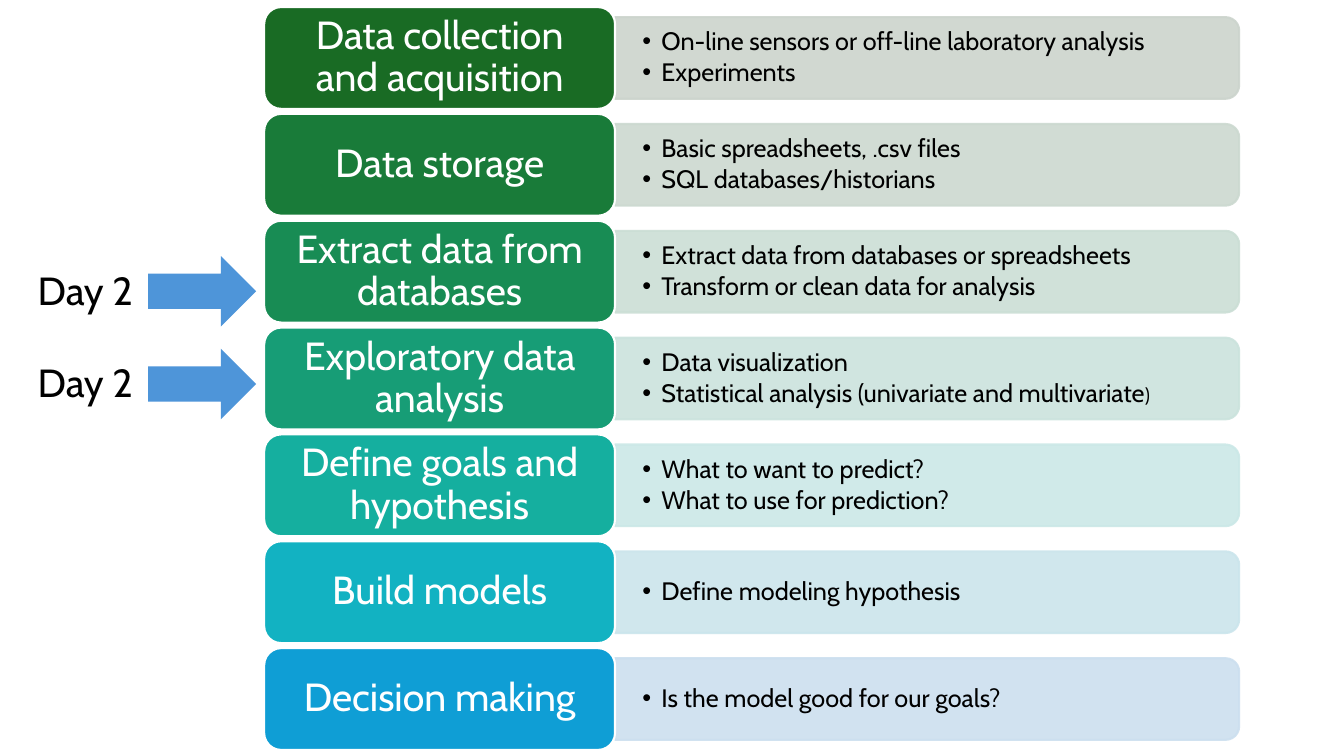
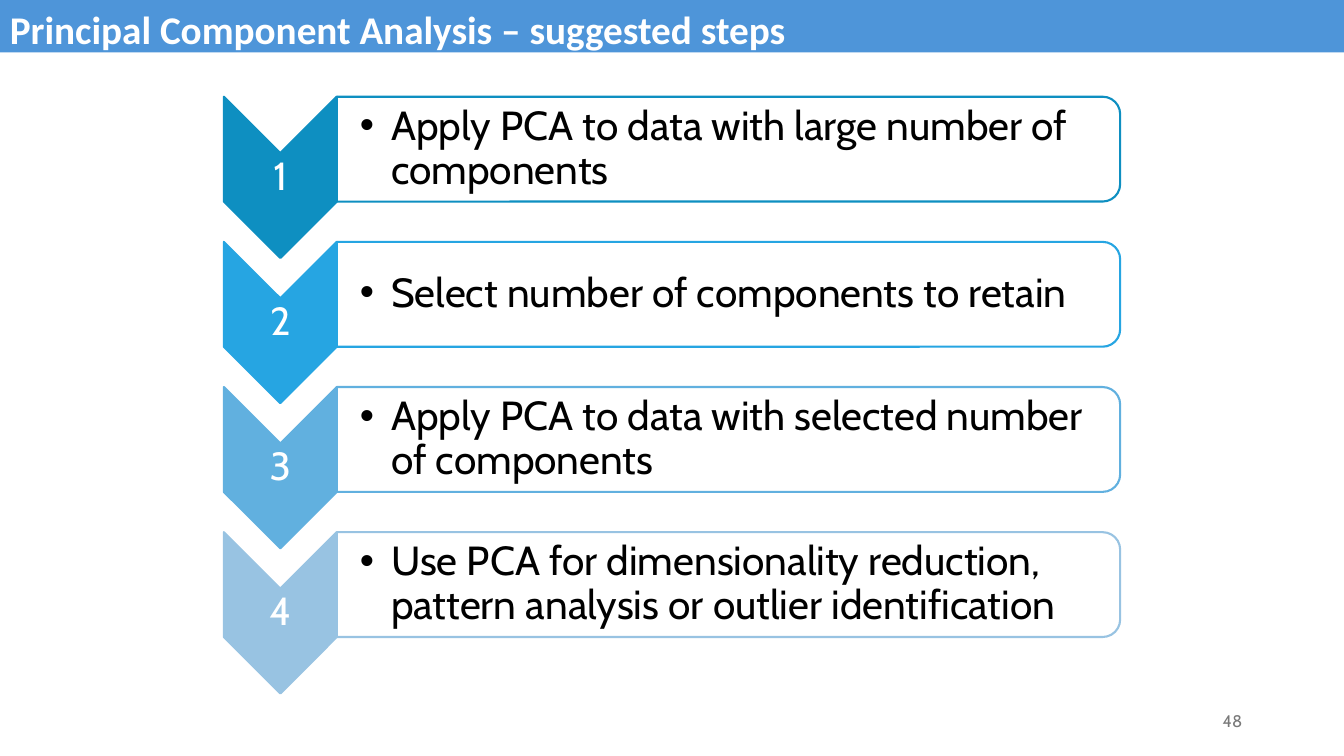
from lxml import etree
from pptx import Presentation
from pptx.dml.color import RGBColor
from pptx.enum import shapes, text
from pptx.oxml import ns
from pptx.util import Inches, Pt

SHAPE = shapes.MSO_SHAPE
ALIGN = text.PP_ALIGN
ANCHOR = text.MSO_ANCHOR

BLUE, WHITE, BLACK, GREY = "4E95D9", "FFFFFF", "000000", "797979"


def color(value):
    return RGBColor.from_string(value)


class Deck:
    """Shared style and the slide being filled."""

    body_font, title_font = "Cabin", "Calibri"
    line_width = 1.5

    def __init__(self):
        self.presentation = Presentation()
        self.presentation.slide_width = Inches(13.33)
        self.presentation.slide_height = Inches(7.5)
        self.slide = None

    def new_slide(self):
        self.slide = self.presentation.slides.add_slide(self.presentation.slide_layouts[6])

    def shape(self, kind, left, top, width, height, fill, line=None, turned=False, opacity=100):
        """Preset shape; a turned one is rotated by 90 degrees to fill the given box."""
        if turned:
            left, top = left + (width - height) / 2, top + (height - width) / 2
            width, height = height, width
        shape = self.slide.shapes.add_shape(
            kind, Inches(left), Inches(top), Inches(width), Inches(height))
        shape.shadow.inherit = False
        shape.rotation = 90 if turned else 0
        shape.fill.solid()
        shape.fill.fore_color.rgb = color(fill)
        if line:
            shape.line.color.rgb = color(line)
            shape.line.width = Pt(self.line_width)
        else:
            shape.line.fill.background()
        if opacity < 100:
            for tone in shape._element.spPr.iter(ns.qn("a:srgbClr")):
                etree.SubElement(tone, ns.qn("a:alpha"), val=str(opacity * 1000))
        return shape

    def box(self, left, top, width, height):
        return self.slide.shapes.add_textbox(
            Inches(left), Inches(top), Inches(width), Inches(height))

    def frame(self, shape, insets=(0.1, 0.05, 0.1, 0.05), anchor=ANCHOR.MIDDLE):
        frame = shape.text_frame
        frame.word_wrap = True
        frame.vertical_anchor = anchor
        frame.margin_left, frame.margin_top, frame.margin_right, frame.margin_bottom = map(
            Inches, insets)
        return frame

    def style(self, paragraph, size, tone, name=None, bold=False):
        font = paragraph.font
        font.size, font.name, font.bold = Pt(size), name or self.body_font, bold
        font.color.rgb = color(tone)

    def label(self, shape, words, size=28, tone=WHITE, align=ALIGN.CENTER, spacing=0.9,
              name=None, bold=False, **frame_style):
        paragraph = self.frame(shape, **frame_style).paragraphs[0]
        paragraph.text = words
        paragraph.alignment = align
        paragraph.line_spacing = spacing
        self.style(paragraph, size, tone, name, bold)

    def bullets(self, shape, items, size, indent, insets):
        """Bulleted list; an item is a list of (words, size or None) runs."""
        frame = self.frame(shape, insets)
        for index, item in enumerate(items):
            paragraph = frame.add_paragraph() if index else frame.paragraphs[0]
            for words, run_size in item:
                run = paragraph.add_run()
                run.text = words
                if run_size:
                    run.font.size = Pt(run_size)
            properties = paragraph._p.get_or_add_pPr()
            properties.set("marL", str(Inches(indent)))
            properties.set("indent", str(-Inches(indent)))
            etree.SubElement(properties, ns.qn("a:buFont"), typeface="Arial")
            etree.SubElement(properties, ns.qn("a:buChar"), char="•")
            paragraph.line_spacing = 0.9
            paragraph.space_after = Pt(0.15 * size)
            self.style(paragraph, size, BLACK)

    def title_band(self, words):
        band = self.shape(SHAPE.RECTANGLE, 0, 0, 13.33, 0.52, BLUE)
        self.label(band, words, align=ALIGN.LEFT, spacing=1, name=self.title_font,
                   bold=True, anchor=ANCHOR.TOP)

    def page_number(self, number):
        self.label(self.box(9.42, 6.95, 3, 0.4), str(number), 12, GREY, ALIGN.RIGHT, 1)


def plain(*items):
    return [[(words, None)] for words in items]


# Stage name, label colour, bar colour, details
STAGES = [
    ("Data collection and acquisition", "196B24", "CCD4CD",
     plain("On-line sensors or off-line laboratory analysis", "Experiments")),
    ("Data storage", "197B39", "CCD9D0",
     plain("Basic spreadsheets, .csv files", "SQL databases/historians")),
    ("Extract data from databases", "188C54", "CBDED5",
     plain("Extract data from databases or spreadsheets",
           "Transform or clean data for analysis")),
    ("Exploratory data analysis", "179D76", "CBE3DD",
     plain("Data visualization")
     + [[("Statistical analysis (univariate and multivariate", None), (")", 14)]]),
    ("Define goals and hypothesis", "15AF9F", "CBE8E7",
     plain("What to want to predict?", "What to use for prediction?")),
    ("Build models", "12B2C2", "CBE5EC", plain("Define modeling hypothesis")),
    ("Decision making", "0F9ED5", "CCDFEF", plain("Is the model good for our goals?")),
]

# Step colour and text
STEPS = [
    ("0E8FC1", "Apply PCA to data with large number of components"),
    ("26A5E2", "Select number of components to retain"),
    ("61B0DF", "Apply PCA to data with selected number of components"),
    ("98C3E2", "Use PCA for dimensionality reduction, pattern analysis or outlier identification"),
]


def workflow_slide(deck):
    deck.new_slide()
    # Stages with their details
    for index, (name, tone, pale, details) in enumerate(STAGES):
        top = 0.07 + 1.06 * index
        deck.shape(SHAPE.ROUND_2_SAME_RECTANGLE, 6.1, top + 0.1, 6.19, 0.81,
                   pale, pale, turned=True, opacity=90)
        deck.bullets(deck.box(6.1, top + 0.14, 6.15, 0.73), details, 18, 0.19,
                     (0.27, 0.14, 0.27, 0.14))
        stage = deck.shape(SHAPE.ROUNDED_RECTANGLE, 2.62, top, 3.48, 1.01, tone, WHITE)
        deck.label(stage, name, insets=(0.12, 0.06, 0.12, 0.06))
    # Day markers
    for top in (2.54, 3.46):
        deck.shape(SHAPE.RIGHT_ARROW, 1.47, top, 1.07, 0.7, BLUE)
        deck.label(deck.box(0.17, top + 0.05, 1.35, 0.59), "Day 2", tone=BLACK, spacing=1,
                   anchor=ANCHOR.TOP)


def steps_slide(deck):
    deck.new_slide()
    deck.page_number(48)
    deck.title_band("Principal Component Analysis – suggested steps")
    # Numbered chevrons with step boxes
    for index, (tone, words) in enumerate(STEPS):
        top = 0.96 + 1.44 * index
        deck.shape(SHAPE.CHEVRON, 2.22, top, 1.12, 1.6, tone, tone, turned=True)
        deck.label(deck.box(2.22, top + 0.56, 1.12, 0.48), str(index + 1), insets=(0.02,) * 4)
        deck.shape(SHAPE.ROUND_2_SAME_RECTANGLE, 3.34, top, 7.77, 1.04, WHITE, tone, turned=True)
        deck.bullets(deck.box(3.34, top + 0.05, 7.72, 0.94), plain(words), 29, 0.31,
                     (0.23, 0.02, 0.02, 0.02))


def main():
    deck = Deck()
    workflow_slide(deck)
    steps_slide(deck)
    deck.presentation.save("out.pptx")


if __name__ == "__main__":
    main()
